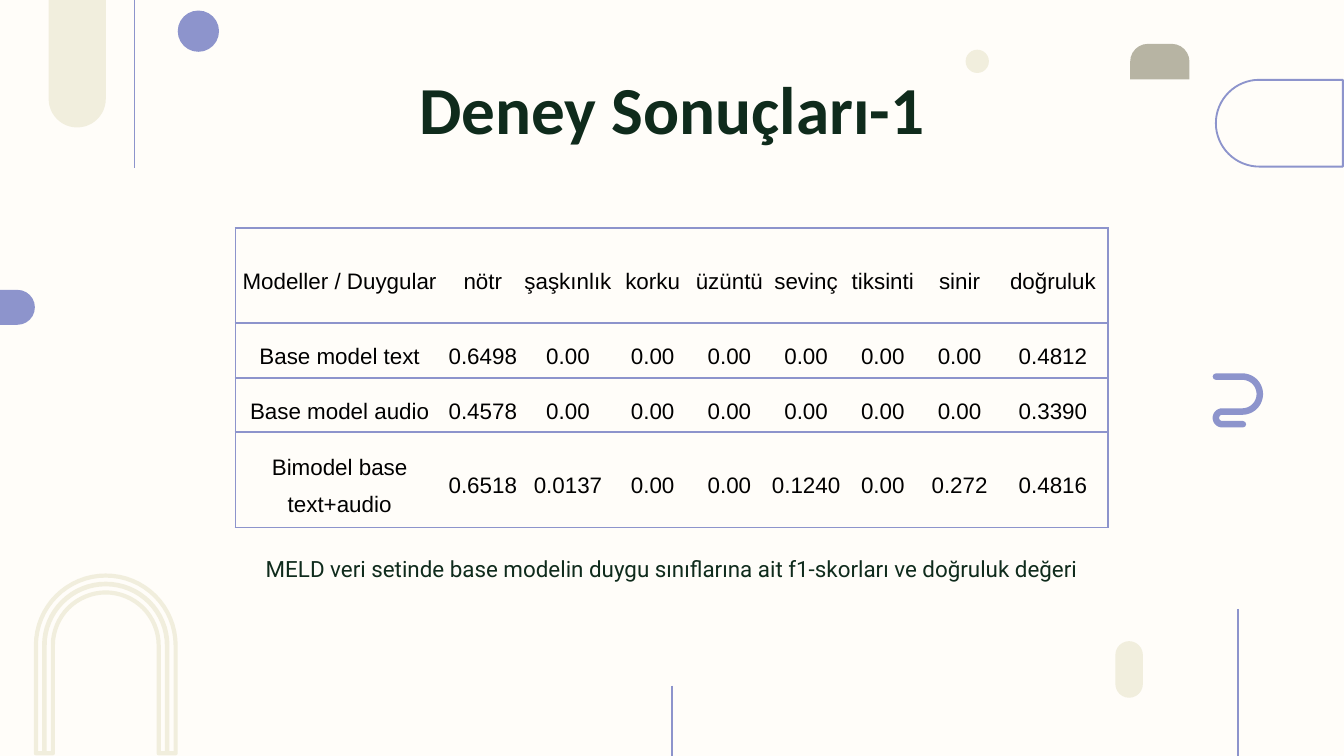
import math

from lxml import etree
from pptx import Presentation
from pptx.dml.color import RGBColor
from pptx.enum.shapes import MSO_CONNECTOR, MSO_SHAPE
from pptx.enum.text import MSO_ANCHOR, PP_ALIGN
from pptx.oxml.ns import qn
from pptx.util import Cm, Pt

CREAM = RGBColor(0xFF, 0xFD, 0xF9)
SAND = RGBColor(0xF1, 0xEE, 0xDD)
TAUPE = RGBColor(0xB7, 0xB4, 0xA3)
PERIWINKLE = RGBColor(0x8D, 0x94, 0xCC)
FOREST = RGBColor(0x0F, 0x2B, 0x1C)
BLACK = RGBColor(0x00, 0x00, 0x00)

OVAL = MSO_SHAPE.OVAL
PILL = MSO_SHAPE.ROUNDED_RECTANGLE
TAB = MSO_SHAPE.ROUND_2_SAME_RECTANGLE
HALF_PILL = MSO_SHAPE.FLOWCHART_DELAY
STRAIGHT = MSO_CONNECTOR.STRAIGHT
CENTER = PP_ALIGN.CENTER
TOP, MIDDLE, BOTTOM = MSO_ANCHOR.TOP, MSO_ANCHOR.MIDDLE, MSO_ANCHOR.BOTTOM

SLIDE_W, SLIDE_H = 25.4, 14.29
TITLE_ONLY = 5

COLUMN_WIDTHS = [3.94, 1.47, 1.75] + [1.45] * 5 + [2.08]
ROW_HEIGHTS = [1.8, 1.04, 1.02, 1.8]
SCORES = [
    ["Modeller / Duygular", "nötr", "şaşkınlık", "korku", "üzüntü",
     "sevinç", "tiksinti", "sinir", "doğruluk"],
    ["Base model text", "0.6498"] + ["0.00"] * 6 + ["0.4812"],
    ["Base model audio", "0.4578"] + ["0.00"] * 6 + ["0.3390"],
    ["Bimodel base text+audio", "0.6518", "0.0137", "0.00", "0.00",
     "0.1240", "0.00", "0.272", "0.4816"],
]


def write_text(frame, text, *, font, size, color, bold=False, anchor=TOP,
               spacing=1.0, before=0):
    frame.word_wrap = True
    frame.vertical_anchor = anchor
    paragraph = frame.paragraphs[0]
    paragraph.alignment = CENTER
    paragraph.line_spacing = spacing
    paragraph.space_before = Pt(before)
    run = paragraph.add_run()
    run.text = text
    run.font.name = font
    run.font.size = Pt(size)
    run.font.bold = bold
    run.font.color.rgb = color


def place(shape, left, top, width, height):
    shape.left, shape.top = Cm(left), Cm(top)
    shape.width, shape.height = Cm(width), Cm(height)


def set_margins(frame, margin):
    frame.margin_left = frame.margin_right = Cm(margin)
    frame.margin_top = frame.margin_bottom = Cm(margin)


def add_solid(slide, kind, left, top, width, height, color, rounding=()):
    solid = slide.shapes.add_shape(kind, Cm(left), Cm(top), Cm(width), Cm(height))
    for index, value in enumerate(rounding):
        solid.adjustments[index] = value
    solid.shadow.inherit = False
    solid.fill.solid()
    solid.fill.fore_color.rgb = color
    solid.line.fill.background()


def add_vertical_line(slide, x, top, bottom):
    rule = slide.shapes.add_connector(STRAIGHT, Cm(x), Cm(top), Cm(x), Cm(bottom))
    rule.line.color.rgb = PERIWINKLE
    rule.line.width = Pt(0.75)
    etree.SubElement(rule._element.spPr, qn("a:effectLst"))


def arc(cx, cy, radius, start, end, steps=32):
    """Points on a circle from start to end, in degrees clockwise from the right."""
    angles = (math.radians(start + (end - start) * i / steps) for i in range(steps + 1))
    return [(cx + radius * math.cos(a), cy + radius * math.sin(a)) for a in angles]


def add_stroke(slide, points, color, width, closed=False, round_ends=False):
    corners = [(Cm(x), Cm(y)) for x, y in points]
    builder = slide.shapes.build_freeform(*corners[0])
    builder.add_line_segments(corners[1:], close=closed)
    stroke = builder.convert_to_shape()
    stroke.shadow.inherit = False
    stroke.fill.background()
    stroke.line.color.rgb = color
    stroke.line.width = Pt(width)
    if round_ends:
        stroke._element.spPr.find(qn("a:ln")).set("cap", "rnd")


def arch(radius, base):
    cx, cy = 2, 12.2
    return [(cx - radius, base)] + arc(cx, cy, radius, 180, 360) + [(cx + radius, base)]


def add_decorations(slide):
    # Filled shapes
    add_solid(slide, PILL, 21.08, 12.12, 0.52, 1.07, SAND, [0.5])
    add_solid(slide, OVAL, 3.36, 0.2, 0.78, 0.78, PERIWINKLE)
    add_solid(slide, HALF_PILL, 0, 5.48, 0.66, 0.66, PERIWINKLE)
    add_solid(slide, TAB, 21.36, 0.83, 1.12, 0.67, TAUPE, [0.5, 0])
    add_solid(slide, OVAL, 18.25, 0.94, 0.44, 0.44, SAND)
    add_solid(slide, TAB, 0.92, 0, 1.08, 2.41, SAND, [0, 0.5])

    # Thin vertical lines
    add_vertical_line(slide, 2.54, 0, 3.17)
    add_vertical_line(slide, 23.4, 11.51, SLIDE_H)
    add_vertical_line(slide, 12.7, 12.96, SLIDE_H)

    # Outlined pocket at the right edge
    pocket = [(25.38, 1.51)] + arc(23.8, 2.33, 0.82, 270, 90) + [(25.38, 3.15)]
    add_stroke(slide, pocket, PERIWINKLE, 1, closed=True)

    # Squiggle
    squiggle = ([(22.98, 7.12)] + arc(23.48, 7.45, 0.33, -90, 90)
                + arc(23.1, 7.9, 0.12, 270, 90) + [(23.49, 8.02)])
    add_stroke(slide, squiggle, PERIWINKLE, 3.5, round_ends=True)

    # Arches at the bottom left
    band = arch(1.32, 14.24) + arch(1, 14.24)[::-1]
    add_stroke(slide, band, SAND, 2.25, closed=True)
    add_stroke(slide, arch(1.16, 14.24), SAND, 2.5)


def set_borders(cell, visible):
    properties = cell._tc.get_or_add_tcPr()
    for side in "LRTB":
        border = etree.SubElement(properties, qn(f"a:ln{side}"), w=str(Pt(1)))
        if side in visible:
            fill = etree.SubElement(border, qn("a:solidFill"))
            etree.SubElement(fill, qn("a:srgbClr"), val=str(PERIWINKLE))
        else:
            etree.SubElement(border, qn("a:noFill"))


def add_score_table(slide):
    scores = slide.shapes.add_table(
        len(SCORES), len(COLUMN_WIDTHS), Cm(4.45), Cm(4.31),
        Cm(sum(COLUMN_WIDTHS)), Cm(sum(ROW_HEIGHTS))).table
    scores.first_row = scores.horz_banding = False
    for column, width in zip(scores.columns, COLUMN_WIDTHS):
        column.width = Cm(width)
    for row, height, values in zip(scores.rows, ROW_HEIGHTS, SCORES):
        row.height = Cm(height)
        for index, (cell, value) in enumerate(zip(row.cells, values)):
            sides = "TB"
            if index == 0:
                sides += "L"
            if index == len(values) - 1:
                sides += "R"
            set_borders(cell, sides)
            cell.fill.solid()
            cell.fill.fore_color.rgb = CREAM
            set_margins(cell, 0)
            write_text(cell.text_frame, value, font="Arial", size=12,
                       color=BLACK, spacing=1.5, before=6)
            cell.vertical_anchor = MIDDLE


def main():
    deck = Presentation()
    deck.slide_width, deck.slide_height = Cm(SLIDE_W), Cm(SLIDE_H)
    slide = deck.slides.add_slide(deck.slide_layouts[TITLE_ONLY])
    slide.background.fill.solid()
    slide.background.fill.fore_color.rgb = CREAM

    add_decorations(slide)

    # Title
    title = slide.shapes.title
    place(title, 2, 1.3, 21.4, 1.75)
    set_margins(title.text_frame, 0.25)
    write_text(title.text_frame, "Deney Sonuçları-1", font="Calibri", size=36,
               color=FOREST, bold=True, anchor=BOTTOM)

    add_score_table(slide)

    # Caption
    caption = slide.shapes.add_textbox(Cm(3.96), Cm(10.16), Cm(17.48), Cm(2.62))
    set_margins(caption.text_frame, 0.25)
    write_text(caption.text_frame,
               "MELD veri setinde base modelin duygu sınıflarına ait "
               "f1-skorları ve doğruluk değeri",
               font="Roboto", size=12, color=FOREST, spacing=1.15)

    deck.save("out.pptx")


if __name__ == "__main__":
    main()
